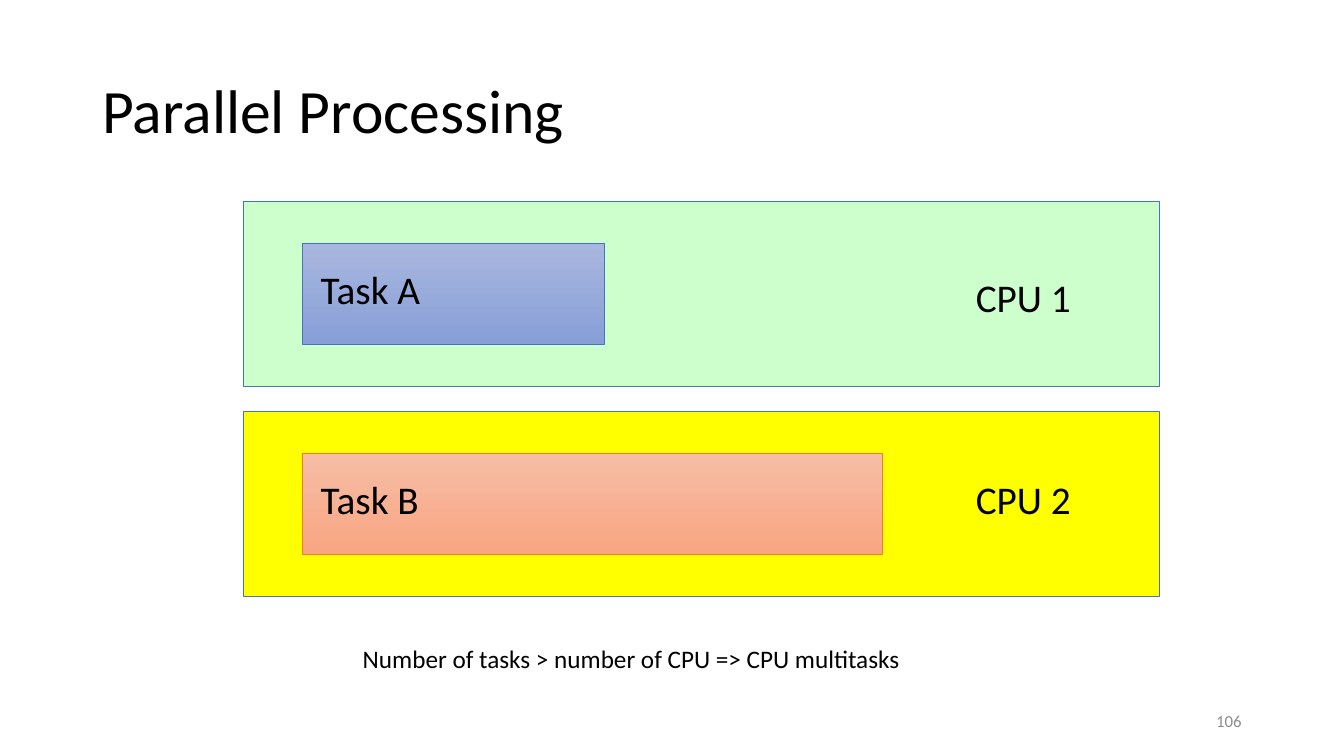
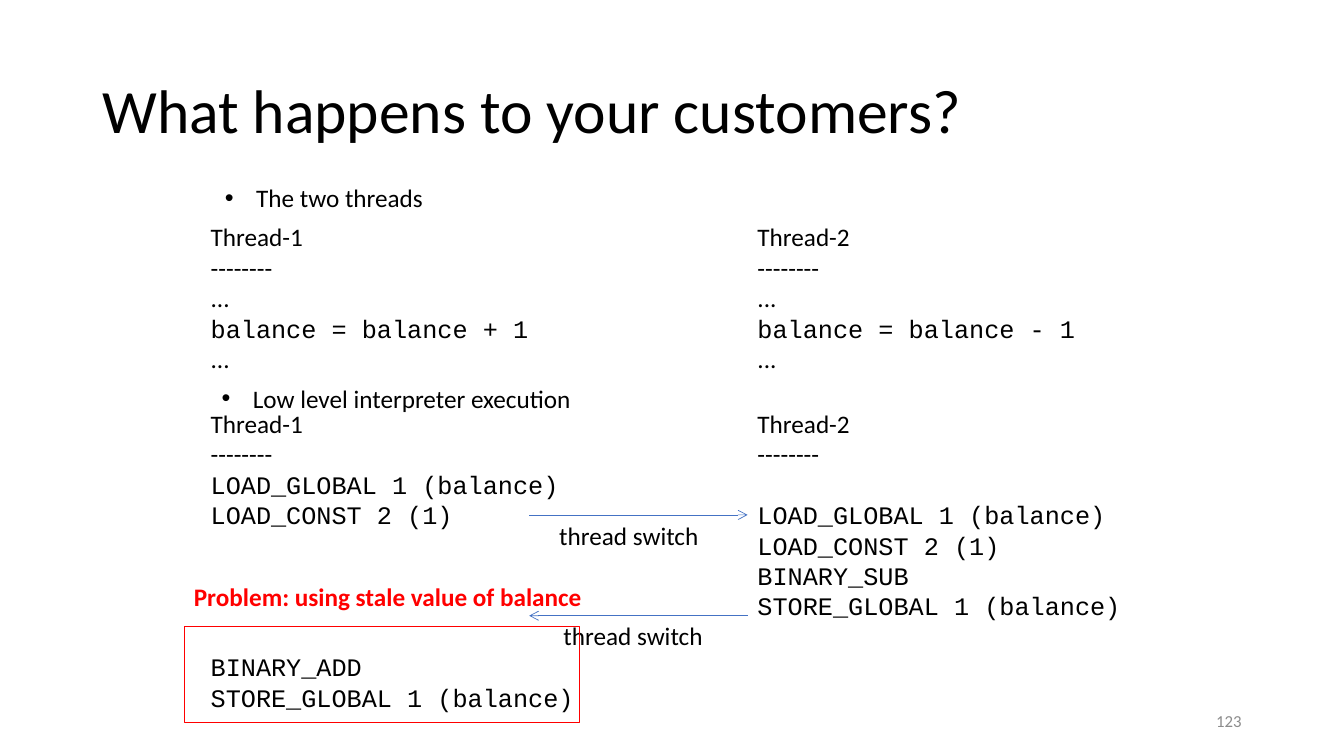
from collections import namedtuple

from lxml.etree import SubElement
from pptx import Presentation
from pptx.dml.color import RGBColor
from pptx.enum.shapes import MSO_CONNECTOR, MSO_SHAPE
from pptx.enum.text import MSO_ANCHOR, MSO_AUTO_SIZE, PP_ALIGN
from pptx.oxml.ns import qn
from pptx.util import Inches, Pt

# Grid of 160 columns by 90 rows; every length below counts grid cells
COLUMNS, ROWS = 160, 90
CELL = Inches(7.5) // ROWS

BLACK = RGBColor(0x00, 0x00, 0x00)
GRAY = RGBColor(0x8C, 0x8C, 0x8C)
RED = RGBColor(0xFF, 0x00, 0x00)
BLUE = RGBColor(0x44, 0x72, 0xC4)
ORANGE = RGBColor(0xED, 0x7D, 0x31)
GREEN_LANE = RGBColor(0xCC, 0xFF, 0xCC)
YELLOW_LANE = RGBColor(0xFF, 0xFF, 0x00)
BLUE_SHADES = RGBColor(0xA8, 0xB7, 0xDF), RGBColor(0x88, 0x9E, 0xD7)
ORANGE_SHADES = RGBColor(0xF7, 0xBD, 0xA5), RGBColor(0xF8, 0xA5, 0x82)

BODY_FONT, CODE_FONT = "Calibri", "Courier New"
LINE_PITCH = 21.7  # points between lines of a listing
LABEL_HEIGHT = 4.8


class Box(namedtuple("Box", "left top width height")):
    """A rectangle in grid cells."""

    def inner(self, left, top, width, height):
        return Box(self.left + left, self.top + top, width, height)

    def lengths(self):
        return [round(value * CELL) for value in self]


def format_text(paragraph, size, color=BLACK, font=BODY_FONT, bold=False):
    for run in paragraph.runs:
        run.font.name = font
        run.font.size = Pt(size)
        run.font.bold = bold
        run.font.color.rgb = color


def add_label(slide, box, text, size=18, wrap=False, **style):
    shape = slide.shapes.add_textbox(*box.lengths())
    text_frame = shape.text_frame
    text_frame.text = text
    text_frame.word_wrap = wrap
    if not wrap:
        text_frame.auto_size = MSO_AUTO_SIZE.SHAPE_TO_FIT_TEXT
    format_text(text_frame.paragraphs[0], size, **style)
    return text_frame


def add_rectangle(slide, box, line_color, line_width=0.5):
    shape = slide.shapes.add_shape(MSO_SHAPE.RECTANGLE, *box.lengths())
    shape.shadow.inherit = False
    shape.line.color.rgb = line_color
    shape.line.width = Pt(line_width)
    return shape


def add_titled_slide(presentation, title, number):
    """Blank slide with the shared title and page number."""
    slide = presentation.slides.add_slide(presentation.slide_layouts[6])
    title_frame = add_label(slide, Box(11, 4.8, 138, 17.4), title, 44, wrap=True)
    title_frame.vertical_anchor = MSO_ANCHOR.MIDDLE
    title_frame.paragraphs[0].line_spacing = 0.9
    number_frame = add_label(slide, Box(113, 83.4, 36, 4.8), number, 12,
                             wrap=True, color=GRAY)
    number_frame.vertical_anchor = MSO_ANCHOR.MIDDLE
    number_frame.paragraphs[0].alignment = PP_ALIGN.RIGHT
    return slide


def add_cpu_lane(slide, box, lane_color, task, task_width, shades, border, cpu, cpu_top):
    """Coloured lane holding a task bar and the name of its CPU."""
    lane = add_rectangle(slide, box, BLUE)
    lane.fill.solid()
    lane.fill.fore_color.rgb = lane_color

    bar = add_rectangle(slide, box.inner(7, 5, task_width, 12), border)
    bar.fill.gradient()
    bar.fill.gradient_angle = 270
    for stop, shade, position in zip(bar.fill.gradient_stops, shades, (0, 1)):
        stop.color.rgb = shade
        stop.position = position

    add_label(slide, box.inner(8, 7, 14.4, 6.8), task, 28)
    add_label(slide, box.inner(86, cpu_top, 13.9, 6.8), cpu, 28)


def build_parallel_slide(presentation):
    slide = add_titled_slide(presentation, "Parallel Processing", "106")
    lanes = [
        (GREEN_LANE, "Task A", 36, BLUE_SHADES, BLUE, "CPU 1", 8),
        (YELLOW_LANE, "Task B", 69, ORANGE_SHADES, ORANGE, "CPU 2", 7),
    ]
    for index, lane in enumerate(lanes):
        add_cpu_lane(slide, Box(29, 24 + 25 * index, 109, 22), *lane)
    add_label(slide, Box(42, 76, 67.1, LABEL_HEIGHT),
              "Number of tasks > number of CPU => CPU multitasks")


def add_listing(slide, box, thread, rows):
    """Thread heading and its code; None in rows skips one line."""
    text_frame = add_label(slide, box, thread, wrap=True)
    text_frame.paragraphs[0].line_spacing = Pt(LINE_PITCH)
    skipped = 0
    for row in ["--------", *rows]:
        if row is None:
            skipped += 1
            continue
        paragraph = text_frame.add_paragraph()
        paragraph.text = row
        paragraph.line_spacing = Pt(LINE_PITCH)
        paragraph.space_before = Pt(LINE_PITCH * skipped)
        is_code = row[0].isalpha()
        format_text(paragraph, 18, font=CODE_FONT if is_code else BODY_FONT)
        skipped = 0


def add_bullet(slide, box, text):
    paragraph = add_label(slide, box, text).paragraphs[0]
    properties = paragraph._p.get_or_add_pPr()
    indent = Inches(0.31)
    properties.set("marL", str(indent))
    properties.set("indent", str(-indent))
    SubElement(properties, qn("a:buFont"), typeface="Arial")
    SubElement(properties, qn("a:buChar"), char="•")


def add_thread_switch(slide, start, end, row, label_left):
    """Arrow from one thread to the other with its label below."""
    points = [round(value * CELL) for value in (start, row, end, row)]
    arrow = slide.shapes.add_connector(MSO_CONNECTOR.STRAIGHT, *points)
    arrow.line.color.rgb = BLUE
    arrow.line.width = Pt(0.5)
    SubElement(arrow.line._get_or_add_ln(), qn("a:tailEnd"), type="arrow")
    SubElement(arrow._element.spPr, qn("a:effectLst"))
    add_label(slide, Box(label_left, row, 19.2, LABEL_HEIGHT), "thread switch")


def add_problem(slide, box):
    """Red frame around the late operations, with its warning above."""
    frame = add_rectangle(slide, box, RED, 1)
    frame.fill.background()
    add_label(slide, box.inner(-0.1, -6, 49, LABEL_HEIGHT),
              "Problem: using stale value of balance", color=RED, bold=True)


def build_threads_slide(presentation):
    slide = add_titled_slide(presentation, "What happens to your customers?", "123")
    left, right = 23.9, 89

    # Source code of both threads
    for column, thread, sign in ((left, "Thread-1", "+"), (right, "Thread-2", "-")):
        add_listing(slide, Box(column, 25.8, 60, 19.4), thread,
                    ["...", f"balance = balance {sign} 1", "..."])

    # Interpreter steps of both threads
    load = ["LOAD_GLOBAL 1 (balance)", "LOAD_CONST 2 (1)"]
    store = "STORE_GLOBAL 1 (balance)"
    add_listing(slide, Box(left, 48, 60, 41.2), "Thread-1",
                [*load, *[None] * 4, "BINARY_ADD", store])
    add_listing(slide, Box(right, 48, 48, 26.6), "Thread-2",
                [None, *load, "BINARY_SUB", store])

    add_thread_switch(slide, 63, right, 61.3, 65.4)
    add_thread_switch(slide, right, 63, 73.3, 65.9)
    add_bullet(slide, Box(25.6, 21.1, 26.3, LABEL_HEIGHT), "The two threads")
    add_bullet(slide, Box(25.2, 45, 44.5, LABEL_HEIGHT), "Low level interpreter execution")
    add_problem(slide, Box(22, 74.6, 47, 11.4))


def main():
    presentation = Presentation()
    presentation.slide_width = COLUMNS * CELL
    presentation.slide_height = ROWS * CELL
    build_parallel_slide(presentation)
    build_threads_slide(presentation)
    presentation.save("out.pptx")


if __name__ == "__main__":
    main()
